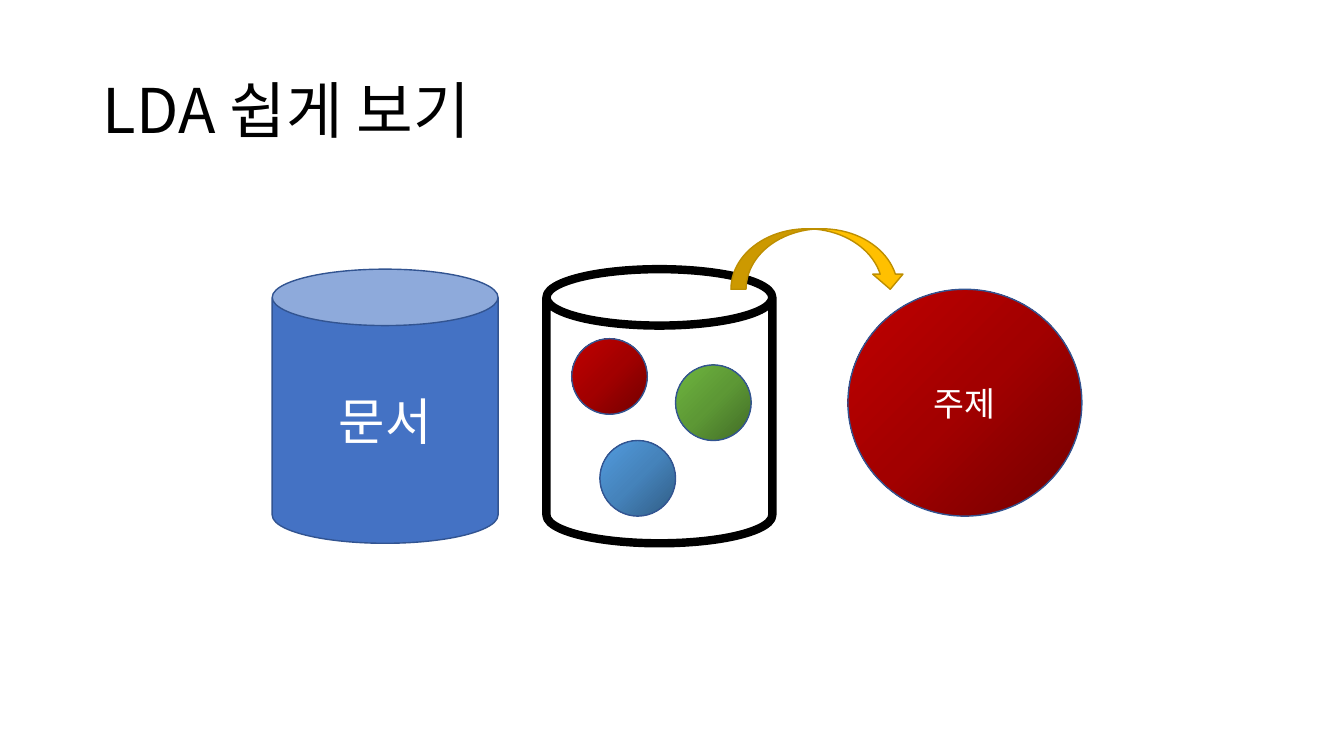
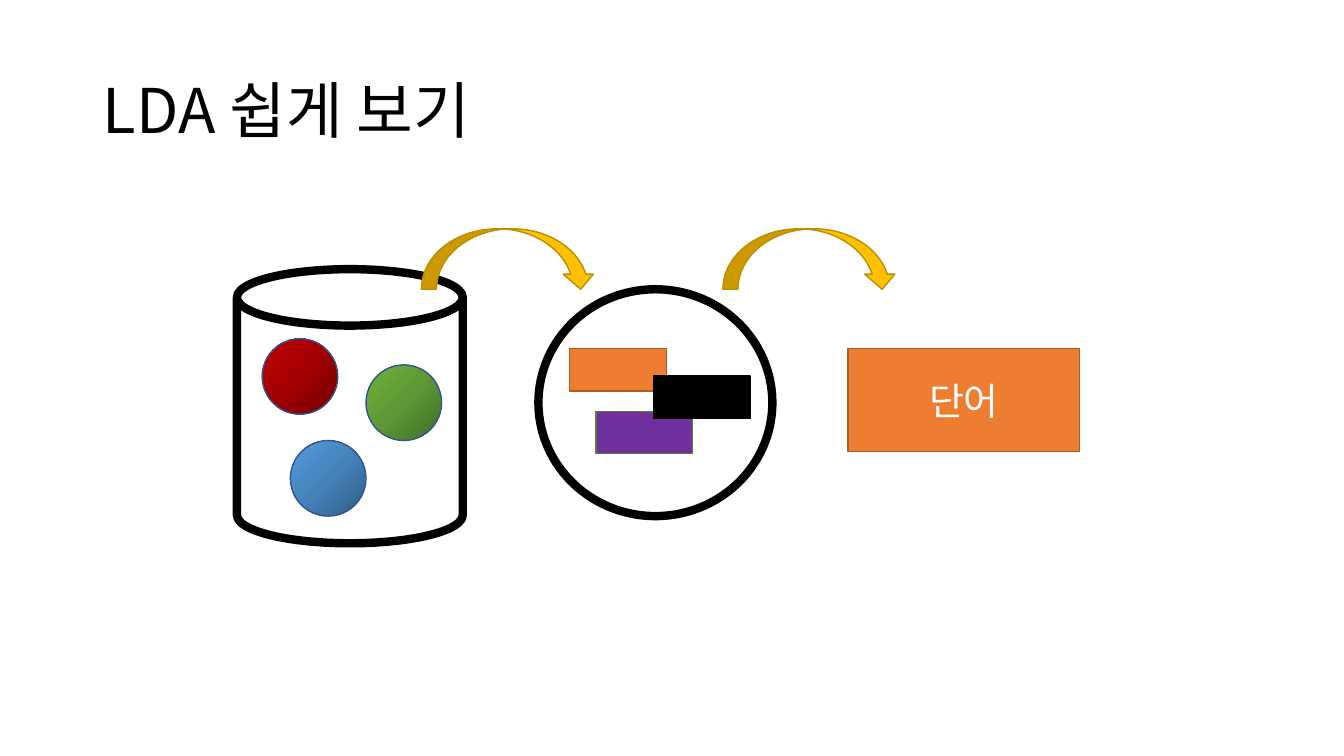
from copy import deepcopy

from pptx import Presentation
from pptx.dml.color import RGBColor
from pptx.enum import shapes, text
from pptx.oxml import ns, xmlchemy
from pptx.util import Inches, Pt

FONT = "Noto Sans CJK KR"
TITLE = "LDA 쉽게 보기"

BLACK = RGBColor(0x00, 0x00, 0x00)
WHITE = RGBColor(0xFF, 0xFF, 0xFF)
BLUE = RGBColor(0x44, 0x72, 0xC4)
BLUE_EDGE = RGBColor(0x32, 0x54, 0x91)
GOLD = RGBColor(0xFF, 0xC0, 0x00)
GOLD_EDGE = RGBColor(0xBD, 0x8E, 0x00)
ORANGE = RGBColor(0xED, 0x7D, 0x31)
ORANGE_EDGE = RGBColor(0xAF, 0x5C, 0x24)
PURPLE = RGBColor(0x70, 0x30, 0xA0)
GREEN_EDGE = RGBColor(0x53, 0x80, 0x35)

# Gradients run from the dark lower right to the bright upper left.
RED_BALL = (RGBColor(0x72, 0x00, 0x00), RGBColor(0xA2, 0x00, 0x00), RGBColor(0xC0, 0x00, 0x00))
GREEN_BALL = (RGBColor(0x41, 0x6B, 0x26), RGBColor(0x5D, 0x98, 0x35), RGBColor(0x6E, 0xB5, 0x3F))
BLUE_BALL = (RGBColor(0x30, 0x5C, 0x84), RGBColor(0x45, 0x83, 0xBB), RGBColor(0x52, 0x9B, 0xDE))

CAN = shapes.MSO_SHAPE.CAN
OVAL = shapes.MSO_SHAPE.OVAL
RECTANGLE = shapes.MSO_SHAPE.RECTANGLE
CURVED_ARROW = shapes.MSO_SHAPE.CURVED_DOWN_ARROW

CAN_TOP, CAN_SIZE = 2.67, (2.24, 2.72)
TOPIC_TOP, TOPIC_SIZE = 2.87, (2.32, 2.25)
WORD_TOP, WORD_SIZE = 3.46, (0.96, 0.42)
RESULT_LEFT = 8.41
OUTLINE_WIDTH = 6


def style_text(text_frame, size, color):
    for paragraph in text_frame.paragraphs:
        for run in paragraph.runs:
            run.font.size = Pt(size)
            run.font.color.rgb = color
            run.font.name = FONT
            east_asian = xmlchemy.OxmlElement("a:ea")
            east_asian.set("typeface", FONT)
            run.font._element.append(east_asian)


def fill_gradient(shape, colors):
    """Spread the colours evenly over a diagonal gradient."""
    shape.fill.gradient()
    shape.fill.gradient_angle = 135
    stop_list = shape._element.spPr.find(".//" + ns.qn("a:gsLst"))
    while len(stop_list) < len(colors):
        stop_list.append(deepcopy(stop_list[0]))
    for index, (stop, color) in enumerate(zip(shape.fill.gradient_stops, colors)):
        stop.color.rgb = color
        stop.position = index / (len(colors) - 1)


def add_figure(slide, kind, left, top, size, fill, edge, edge_width=1, label="", label_size=24):
    """Add a preset shape; fill is one colour or a tuple of gradient colours."""
    shape = slide.shapes.add_shape(kind, *map(Inches, (left, top, *size)))
    shape.shadow.inherit = False
    if isinstance(fill, RGBColor):
        shape.fill.solid()
        shape.fill.fore_color.rgb = fill
    else:
        fill_gradient(shape, fill)
    shape.line.color.rgb = edge
    shape.line.width = Pt(edge_width)
    if label:
        frame = shape.text_frame
        frame.text = label
        frame.vertical_anchor = text.MSO_ANCHOR.MIDDLE
        frame.paragraphs[0].alignment = text.PP_ALIGN.CENTER
        style_text(frame, label_size, WHITE)


def add_titled_slide(presentation):
    slide = presentation.slides.add_slide(presentation.slide_layouts[5])
    title = slide.shapes.title
    title.left, title.top, title.width, title.height = map(Inches, (0.92, 0.4, 11.5, 1.45))
    frame = title.text_frame
    frame.text = TITLE
    frame.vertical_anchor = text.MSO_ANCHOR.MIDDLE
    frame.paragraphs[0].alignment = text.PP_ALIGN.LEFT
    frame.paragraphs[0].line_spacing = 0.9
    style_text(frame, 44, BLACK)
    return slide


def add_open_document(slide, left):
    """Draw a can whose topics show as coloured balls."""
    add_figure(slide, CAN, left, CAN_TOP, CAN_SIZE, WHITE, BLACK, OUTLINE_WIDTH)
    balls = ((0.25, 3.36, RED_BALL), (1.28, 3.62, GREEN_BALL), (0.53, 4.37, BLUE_BALL))
    for offset, top, colors in balls:
        add_figure(slide, OVAL, left + offset, top, (0.75, 0.75), colors, BLUE_EDGE)


def add_open_topic(slide, left):
    """Draw a circle whose words show as coloured blocks."""
    add_figure(slide, OVAL, left, TOPIC_TOP, TOPIC_SIZE, WHITE, BLACK, OUTLINE_WIDTH)
    words = (
        (0.31, WORD_TOP, ORANGE, ORANGE_EDGE),
        (0.57, 4.08, PURPLE, GREEN_EDGE),
        (1.14, 3.73, BLACK, BLACK),
    )
    for offset, top, fill, edge in words:
        add_figure(slide, RECTANGLE, left + offset, top, WORD_SIZE, fill, edge)


def add_draw_arrow(slide, left):
    add_figure(slide, CURVED_ARROW, left, 2.27, (1.73, 0.6), GOLD, GOLD_EDGE)


def build_document_slide(presentation):
    slide = add_titled_slide(presentation)
    add_open_document(slide, 5.42)
    add_figure(slide, OVAL, RESULT_LEFT, TOPIC_TOP, TOPIC_SIZE, RED_BALL, BLUE_EDGE, label="주제")
    add_draw_arrow(slide, 7.25)
    add_figure(slide, CAN, 2.7, CAN_TOP, CAN_SIZE, BLUE, BLUE_EDGE, label="문서", label_size=36)


def build_topic_slide(presentation):
    slide = add_titled_slide(presentation)
    add_open_document(slide, 2.35)
    add_open_topic(slide, 5.34)
    for left in (4.18, 7.17):
        add_draw_arrow(slide, left)
    add_figure(slide, RECTANGLE, RESULT_LEFT, WORD_TOP, (2.3, 1.02), ORANGE, ORANGE_EDGE,
               label="단어", label_size=27)


def main():
    presentation = Presentation()
    presentation.slide_width = Inches(13.33)
    presentation.slide_height = Inches(7.5)
    build_document_slide(presentation)
    build_topic_slide(presentation)
    presentation.save("out.pptx")


if __name__ == "__main__":
    main()
